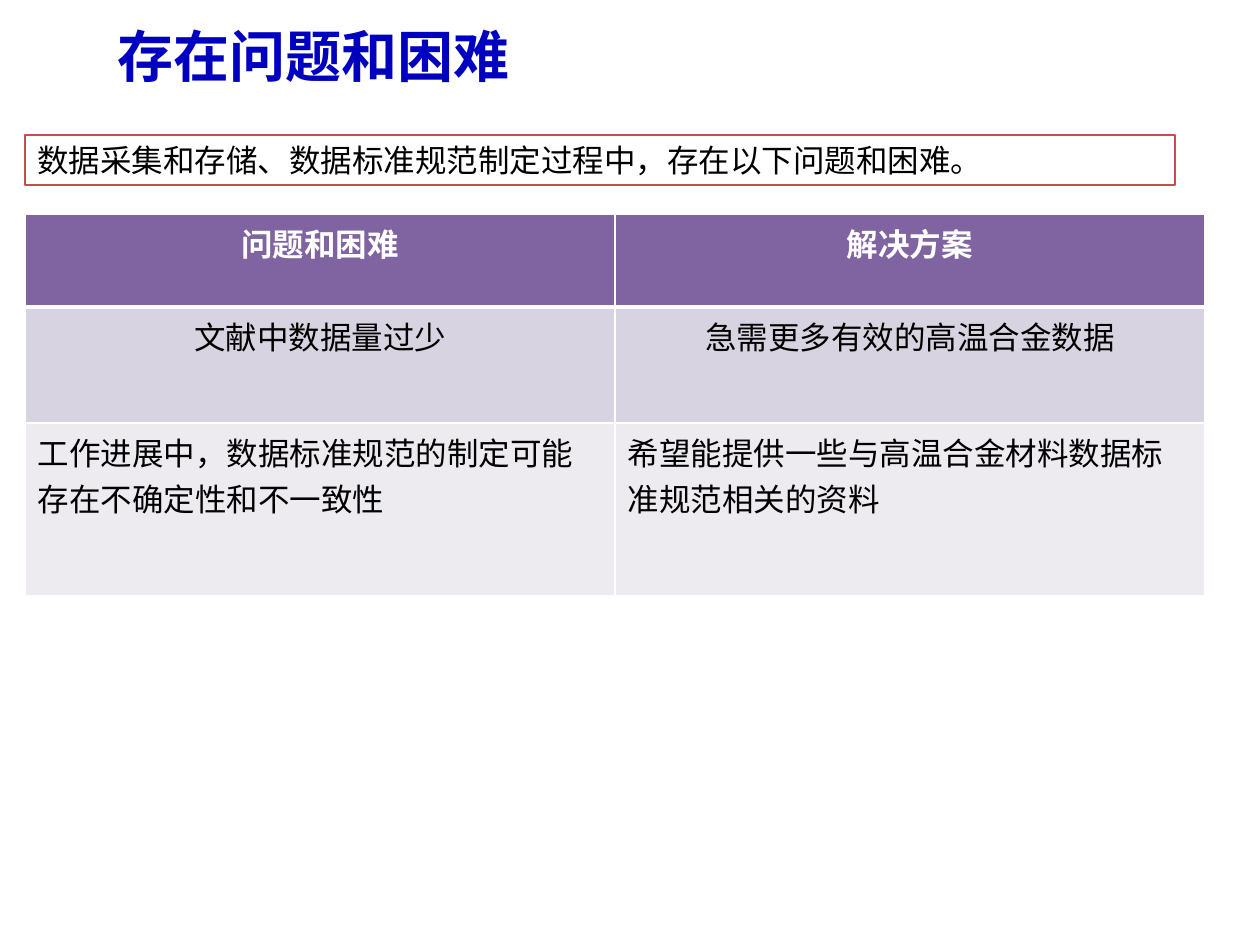
from dataclasses import dataclass

from lxml.etree import SubElement
from pptx import Presentation
from pptx.dml.color import RGBColor
from pptx.enum.shapes import MSO_SHAPE
from pptx.enum.text import MSO_ANCHOR, PP_ALIGN
from pptx.oxml.ns import qn
from pptx.util import Pt

PX = 914400 / 126


@dataclass
class Theme:
    title: str = "0000BF"
    ink: str = "000000"
    white: str = "FFFFFF"
    red: str = "C0504D"
    fills: tuple = ("8064A2", "D8D3E0", "EDEAF0")
    latin: str = "Calibri"
    asian: str = "Noto Sans CJK SC"
    head: int = 32
    body: int = 18


theme = Theme()


def px(*sizes):
    return [round(size * PX) for size in sizes]


def write(frame, text, size=theme.body, color=theme.ink, bold=False,
          align=PP_ALIGN.LEFT, font=theme.latin):
    frame.word_wrap = True
    para = frame.paragraphs[0]
    para.alignment = align
    run = para.add_run()
    run.text = text
    run.font.size = Pt(size)
    run.font.bold = bold
    run.font.name = font
    run.font.color.rgb = RGBColor.from_string(color)
    SubElement(run.font._element, qn("a:ea"), typeface=theme.asian)


deck = Presentation()
deck.slide_width, deck.slide_height = px(1260, 945)
slide = deck.slides.add_slide(deck.slide_layouts[5])

# Title
title = slide.shapes.title
title.left, title.top, title.width, title.height = px(105, 0, 1134, 110)
title.text_frame.vertical_anchor = MSO_ANCHOR.MIDDLE
write(title.text_frame, "存在问题和困难", size=theme.head, color=theme.title,
      bold=True, font=theme.asian)

# Problems and solutions
rows = [
    ("问题和困难", "解决方案"),
    ("文献中数据量过少", "急需更多有效的高温合金数据"),
    ("工作进展中，数据标准规范的制定可能存在不确定性和不一致性",
     "希望能提供一些与高温合金材料数据标准规范相关的资料"),
]
heights = px(93, 116, 173)
table = slide.shapes.add_table(3, 2, *px(25, 214, 1180, 382)).table
for col in table.columns:
    col.width = px(590)[0]

for r, texts in enumerate(rows):
    table.rows[r].height = heights[r]
    header = r == 0
    for c, text in enumerate(texts):
        cell = table.cell(r, c)
        write(cell.text_frame, text, bold=header,
              color=theme.white if header else theme.ink,
              align=PP_ALIGN.LEFT if r == 2 else PP_ALIGN.CENTER)
        props = cell._tc.get_or_add_tcPr()
        for side in "LRTB":
            thick = (r, side) in ((0, "B"), (1, "T"))
            line = SubElement(props, qn(f"a:ln{side}"),
                              w=str(Pt(3 if thick else 1)))
            paint = SubElement(line, qn("a:solidFill"))
            SubElement(paint, qn("a:srgbClr"), val=theme.white)
        cell.fill.solid()
        cell.fill.fore_color.rgb = RGBColor.from_string(theme.fills[r])

# Framed introduction
intro = slide.shapes.add_shape(MSO_SHAPE.RECTANGLE, *px(25, 135, 1150, 50))
intro.shadow.inherit = False
intro.fill.background()
intro.line.color.rgb = RGBColor.from_string(theme.red)
intro.line.width = Pt(0.75)
intro.text_frame.vertical_anchor = MSO_ANCHOR.TOP
write(intro.text_frame, "数据采集和存储、数据标准规范制定过程中，存在以下问题和困难。")

deck.save("out.pptx")
